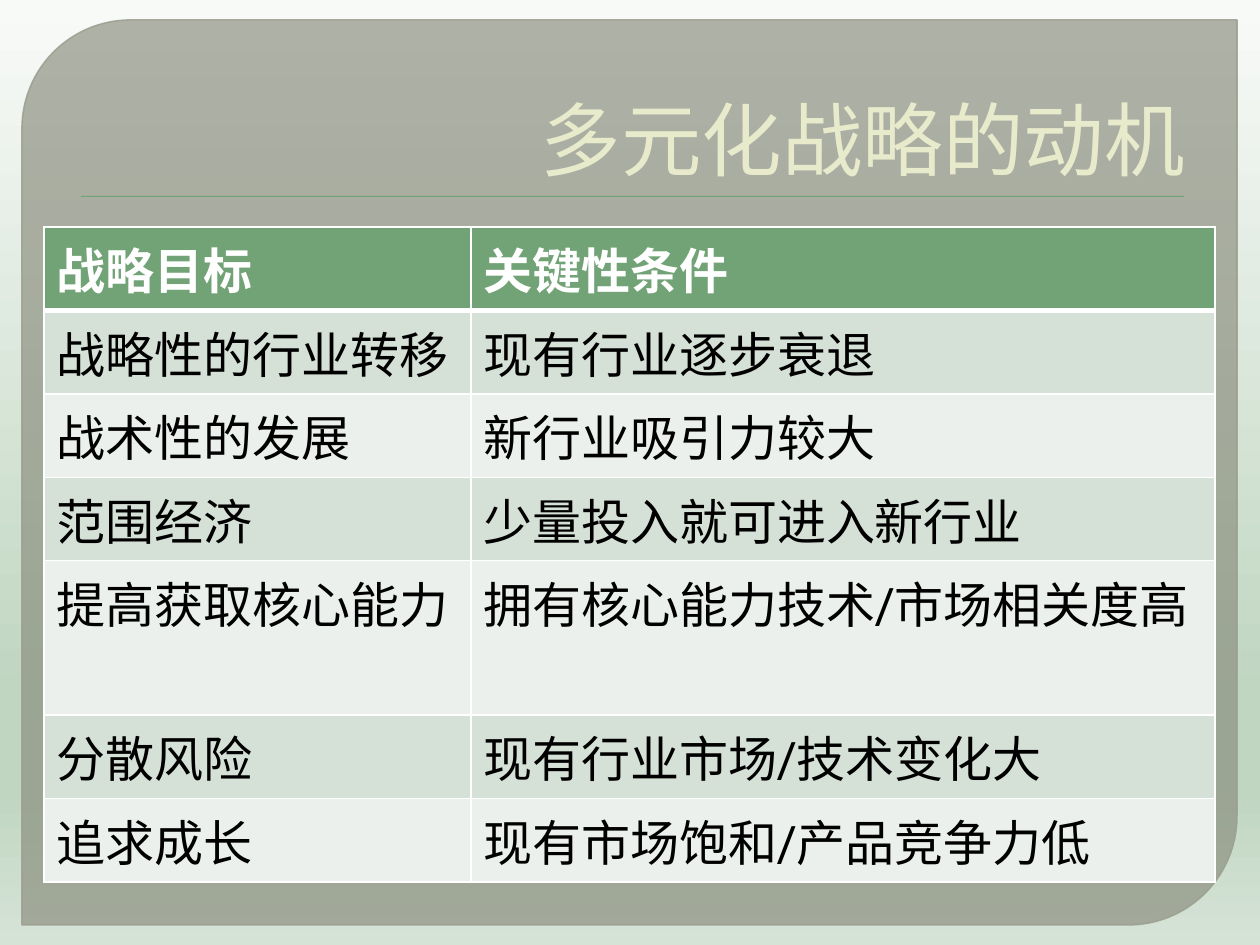
from lxml.etree import SubElement
from pptx import Presentation
from pptx.dml.color import RGBColor
from pptx.enum.shapes import MSO_SHAPE
from pptx.enum.text import MSO_ANCHOR, PP_ALIGN
from pptx.oxml import parse_xml
from pptx.oxml.ns import nsdecls, qn
from pptx.util import Emu, Pt

FONT = "Roboto Slab"


def px(*nums):
    return [Emu(round(num * 914400 / 126)) for num in nums]


def paint(fill, color, alpha=100):
    fill.solid()
    fill.fore_color.rgb = RGBColor.from_string(color)
    if alpha < 100:
        node = fill._xPr.find(qn("a:solidFill"))[0]
        SubElement(node, qn("a:alpha"), val=str(alpha * 1000))


deck = Presentation()
deck.slide_width, deck.slide_height = px(1260, 945)
slide = deck.slides.add_slide(deck.slide_layouts[5])

back = slide.background.fill
back.gradient()
back.gradient_angle = 270
stops = back._xPr.find(qn("a:gradFill")).find(qn("a:gsLst"))
for stop in list(stops):
    stops.remove(stop)
for pos, color in [(0, "F8FAF8"), (74, "C0D6C1"), (83, "C0D6C1"), (100, "D5E3D6")]:
    stop = SubElement(stops, qn("a:gs"), pos=str(pos * 1000))
    SubElement(stop, qn("a:srgbClr"), val=color)

panel = slide.shapes.add_shape(MSO_SHAPE.ROUND_2_DIAG_RECTANGLE, *px(22, 20, 1215, 905))
panel.adjustments[0] = 0.12
panel.adjustments[1] = 0
panel.shadow.inherit = False
paint(panel.fill, "888B7B", 65)
panel.line.width = Pt(0.87)
paint(panel.line.fill, "9DA090", 88)

rule = slide.shapes.add_shape(MSO_SHAPE.RECTANGLE, *px(81, 196, 1103, 1))
rule.shadow.inherit = False
paint(rule.fill, "72A376")
rule.line.fill.background()

title = slide.shapes.title
slide.shapes._spTree.append(title._element)
title.left, title.top, title.width, title.height = px(63, 35, 1134, 158)
frame = title.text_frame
frame.text = "多元化战略的动机"
frame.word_wrap = True
frame.vertical_anchor = MSO_ANCHOR.BOTTOM
para = frame.paragraphs[0]
para.alignment = PP_ALIGN.RIGHT
font = para.runs[0].font
font.size = Pt(46)
font.name = FONT
paint(font.fill, "E7EACB")

rows = [
    ("战略目标", "关键性条件"),
    ("战略性的行业转移", "现有行业逐步衰退"),
    ("战术性的发展", "新行业吸引力较大"),
    ("范围经济", "少量投入就可进入新行业"),
    ("提高获取核心能力", "拥有核心能力技术/市场相关度高"),
    ("分散风险", "现有行业市场/技术变化大"),
    ("追求成长", "现有市场饱和/产品竞争力低"),
]
table = slide.shapes.add_table(len(rows), 2, *px(44, 227, 1171, 364)).table
for col, width in zip(table.columns, px(427, 744)):
    col.width = width
for i, row in enumerate(rows):
    head = i == 0
    shade = "72A376" if head else ("EBF0EC", "D5E0D6")[i % 2]
    for j, text in enumerate(row):
        cell = table.cell(i, j)
        cell.text_frame.text = text
        font = cell.text_frame.paragraphs[0].runs[0].font
        font.size = Pt(28)
        font.name = FONT
        font.bold = head
        paint(font.fill, "FFFFFF" if head else "000000")
        paint(cell.fill, shade)
        props = cell._tc.get_or_add_tcPr()
        for k, side in enumerate("LRTB"):
            thick = (i, side) in [(0, "B"), (1, "T")]
            edge = parse_xml(f'<a:ln{side} {nsdecls("a")} w="{Pt(3 if thick else 1)}"/>')
            fill = SubElement(edge, qn("a:solidFill"))
            SubElement(fill, qn("a:srgbClr"), val="FFFFFF")
            props.insert(k, edge)

deck.save("out.pptx")
